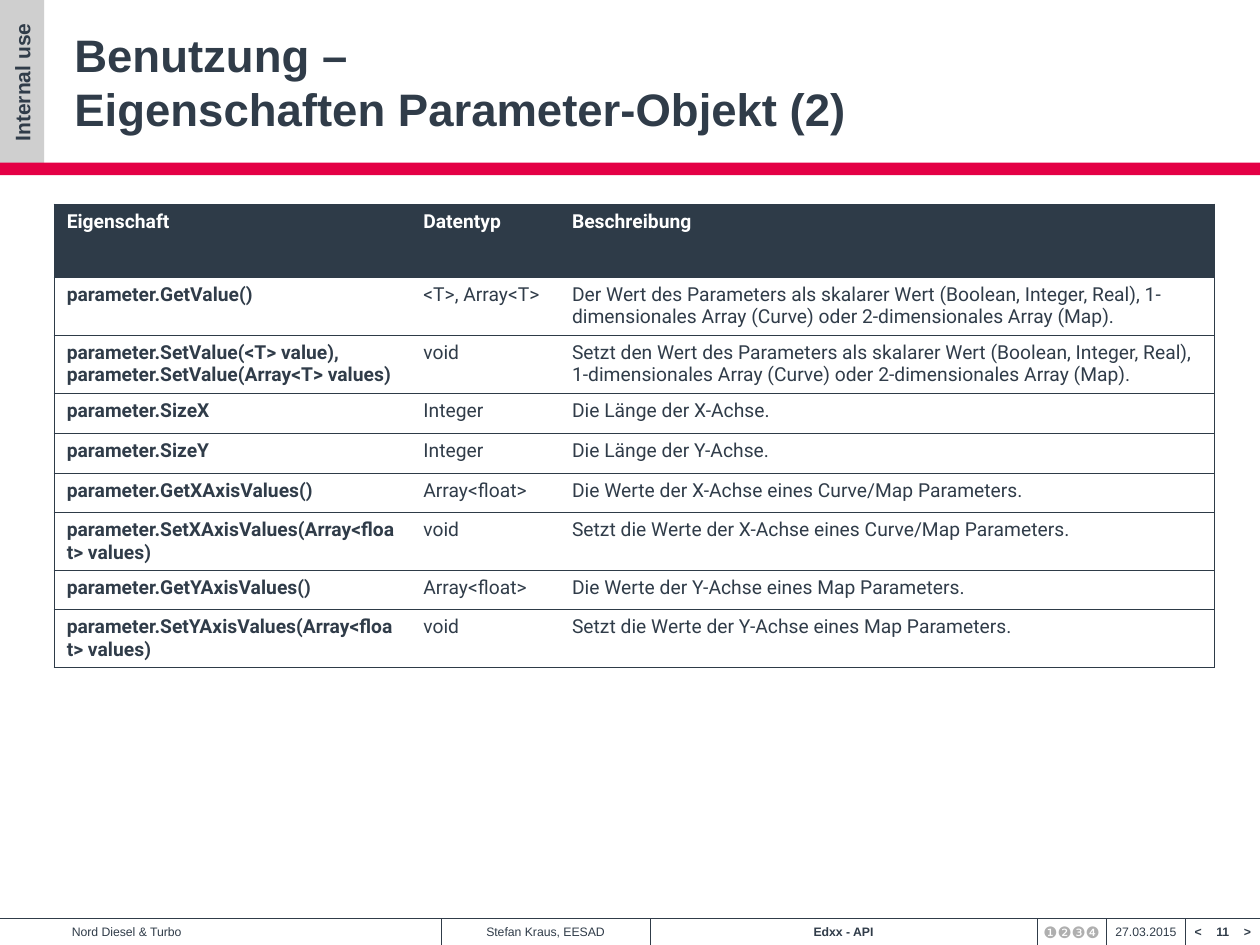
from lxml.etree import SubElement
from pptx import Presentation
from pptx.dml.color import RGBColor
from pptx.enum.shapes import MSO_CONNECTOR, MSO_SHAPE
from pptx.enum.text import MSO_ANCHOR, PP_ALIGN
from pptx.oxml.ns import qn
from pptx.util import Inches, Pt

COLORS = {"ink": "303C49", "table": "2E3B48", "red": "E40045",
          "tab": "CFCFCF", "muted": "AFAFAF", "white": "FFFFFF"}
TITLE = "Benutzung – \vEigenschaften Parameter-Objekt (2)"
HEADER = ("Eigenschaft", "Datentyp", "Beschreibung")
PROPERTIES = [
    ("parameter.GetValue()", "<T>, Array<T>",
     "Der Wert des Parameters als skalarer Wert (Boolean, Integer, Real), "
     "1-dimensionales Array (Curve) oder 2-dimensionales Array (Map)."),
    ("parameter.SetValue(<T> value),\nparameter.SetValue(Array<T> values)", "void",
     "Setzt den Wert des Parameters als skalarer Wert (Boolean, Integer, Real), "
     "1-dimensionales Array (Curve) oder 2-dimensionales Array (Map)."),
    ("parameter.SizeX", "Integer", "Die Länge der X-Achse."),
    ("parameter.SizeY", "Integer", "Die Länge der Y-Achse."),
    ("parameter.GetXAxisValues()", "Array<float>",
     "Die Werte der X-Achse eines Curve/Map Parameters."),
    ("parameter.SetXAxisValues(Array<float> values)", "void",
     "Setzt die Werte der X-Achse eines Curve/Map Parameters."),
    ("parameter.GetYAxisValues()", "Array<float>",
     "Die Werte der Y-Achse eines Map Parameters."),
    ("parameter.SetYAxisValues(Array<float> values)", "void",
     "Setzt die Werte der Y-Achse eines Map Parameters."),
]
COLUMN_WIDTHS = (2.83, 1.18, 5.2)
ROW_HEIGHTS = (0.58, 0.46, 0.46, 0.32, 0.32, 0.31, 0.46, 0.31, 0.46)
FOOTER_TOP, FOOTER_HEIGHT = 7.29, 0.21
FOOTER = [
    ("Nord Diesel & Turbo", 0.57, 1.6, False, PP_ALIGN.LEFT),
    ("Stefan Kraus, EESAD", 3.5, 1.66, False, PP_ALIGN.CENTER),
    ("Edxx - API", 5.16, 3.07, True, PP_ALIGN.CENTER),
    ("27.03.2015", 8.78, 0.63, False, PP_ALIGN.CENTER),
    ("<", 9.41, 0.2, True, PP_ALIGN.CENTER),
    ("11", 9.41, 0.59, True, PP_ALIGN.CENTER),
    (">", 9.8, 0.2, True, PP_ALIGN.CENTER),
]
DIVIDERS = (3.5, 5.16, 8.23, 8.78, 9.41)


def rgb(name):
    return RGBColor.from_string(COLORS[name])


def write(frame, text, size, color="ink", bold=False, align=PP_ALIGN.LEFT, font="Arial"):
    frame.text = text
    frame.word_wrap = True
    for paragraph in frame.paragraphs:
        paragraph.alignment = align
        for run in paragraph.runs:
            run.font.name, run.font.size, run.font.bold = font, Pt(size), bold
            run.font.color.rgb = rgb(color)


def set_insets(frame, anchor, bottom=0):
    frame.margin_left = frame.margin_top = frame.margin_right = 0
    frame.margin_bottom = Inches(bottom)
    frame.vertical_anchor = anchor


def add_label(slide, text, box, size, anchor=MSO_ANCHOR.MIDDLE, **style):
    label = slide.shapes.add_textbox(*map(Inches, box))
    set_insets(label.text_frame, anchor)
    write(label.text_frame, text, size, **style)


def add_block(slide, box, color):
    block = slide.shapes.add_shape(MSO_SHAPE.RECTANGLE, *map(Inches, box))
    block.shadow.inherit = False
    block.fill.solid()
    block.fill.fore_color.rgb = rgb(color)
    block.line.fill.background()
    return block


def add_rule(slide, *ends):
    rule = slide.shapes.add_connector(MSO_CONNECTOR.STRAIGHT, *map(Inches, ends))
    rule.line.color.rgb = rgb("ink")
    rule.line.width = Pt(0.5)
    SubElement(rule._element.spPr, qn("a:effectLst"))


def set_borders(cell, first, last):
    properties = cell._tc.get_or_add_tcPr()
    for side, visible in (("L", first), ("R", last), ("T", True), ("B", True)):
        border = SubElement(properties, qn(f"a:ln{side}"), w=str(Pt(0.75)))
        if visible:
            fill = SubElement(border, qn("a:solidFill"))
            SubElement(fill, qn("a:srgbClr"), val=COLORS["table"])
        else:
            SubElement(border, qn("a:noFill"))


def add_properties(slide):
    rows = [HEADER, *PROPERTIES]
    box = (0.43, 1.62, sum(COLUMN_WIDTHS), sum(ROW_HEIGHTS))
    table = slide.shapes.add_table(len(rows), len(HEADER), *map(Inches, box)).table
    table.horz_banding = False
    for column, width in zip(table.columns, COLUMN_WIDTHS):
        column.width = Inches(width)
    for r, (row, height) in enumerate(zip(rows, ROW_HEIGHTS)):
        table.rows[r].height = Inches(height)
        for c, text in enumerate(row):
            cell = table.cell(r, c)
            set_borders(cell, c == 0, c == len(row) - 1)
            cell.fill.solid()
            cell.fill.fore_color.rgb = rgb("white" if r else "table")
            write(cell.text_frame, text, 11, "ink" if r else "white",
                  r == 0 or c == 0, font="Roboto")


def main():
    """Build the slide on the properties of the parameter object."""
    deck = Presentation()
    deck.slide_width, deck.slide_height = Inches(10), Inches(7.5)
    slide = deck.slides.add_slide(deck.slide_layouts[5])

    usage = add_block(slide, (0, 0, 0.35, 1.31), "tab").text_frame
    set_insets(usage, MSO_ANCHOR.MIDDLE)
    write(usage, "Internal use", 12, bold=True, align=PP_ALIGN.CENTER)
    usage._txBody.bodyPr.set("vert", "vert270")
    add_block(slide, (0, 1.29, 10, 0.1), "red")

    title = slide.shapes.title
    title.left, title.top, title.width, title.height = map(Inches, (0.59, 0.21, 7.4, 0.94))
    set_insets(title.text_frame, MSO_ANCHOR.BOTTOM, 0.07)
    write(title.text_frame, TITLE, 26, bold=True)

    add_properties(slide)

    for text, left, width, bold, align in FOOTER:
        add_label(slide, text, (left, FOOTER_TOP, width, FOOTER_HEIGHT), 7,
                  bold=bold, align=align)
    add_label(slide, "❶❷❸❹", (8.23, 7.32, 0.55, 0.16), 9, MSO_ANCHOR.TOP,
              color="muted", align=PP_ALIGN.CENTER)
    add_rule(slide, 0, FOOTER_TOP, 10, FOOTER_TOP)
    for x in DIVIDERS:
        add_rule(slide, x, FOOTER_TOP, x, FOOTER_TOP + FOOTER_HEIGHT)

    deck.save("out.pptx")


if __name__ == "__main__":
    main()
